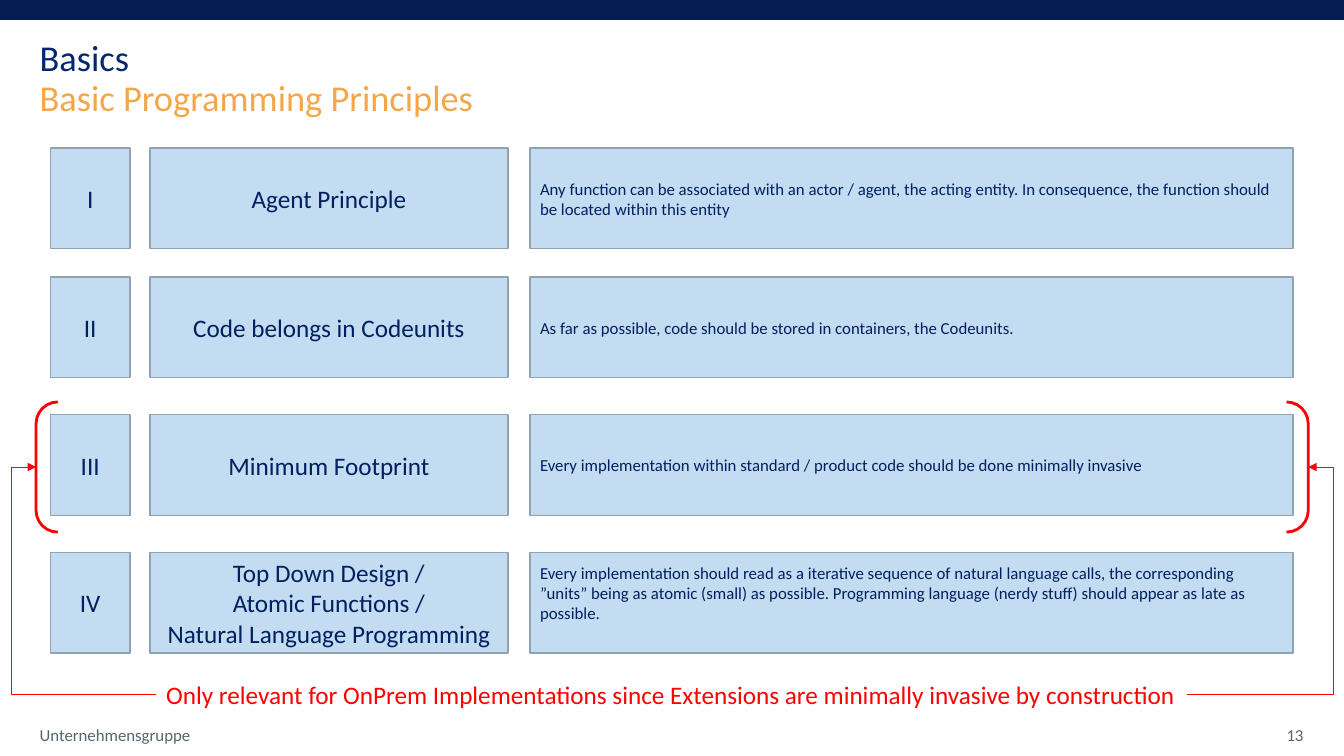
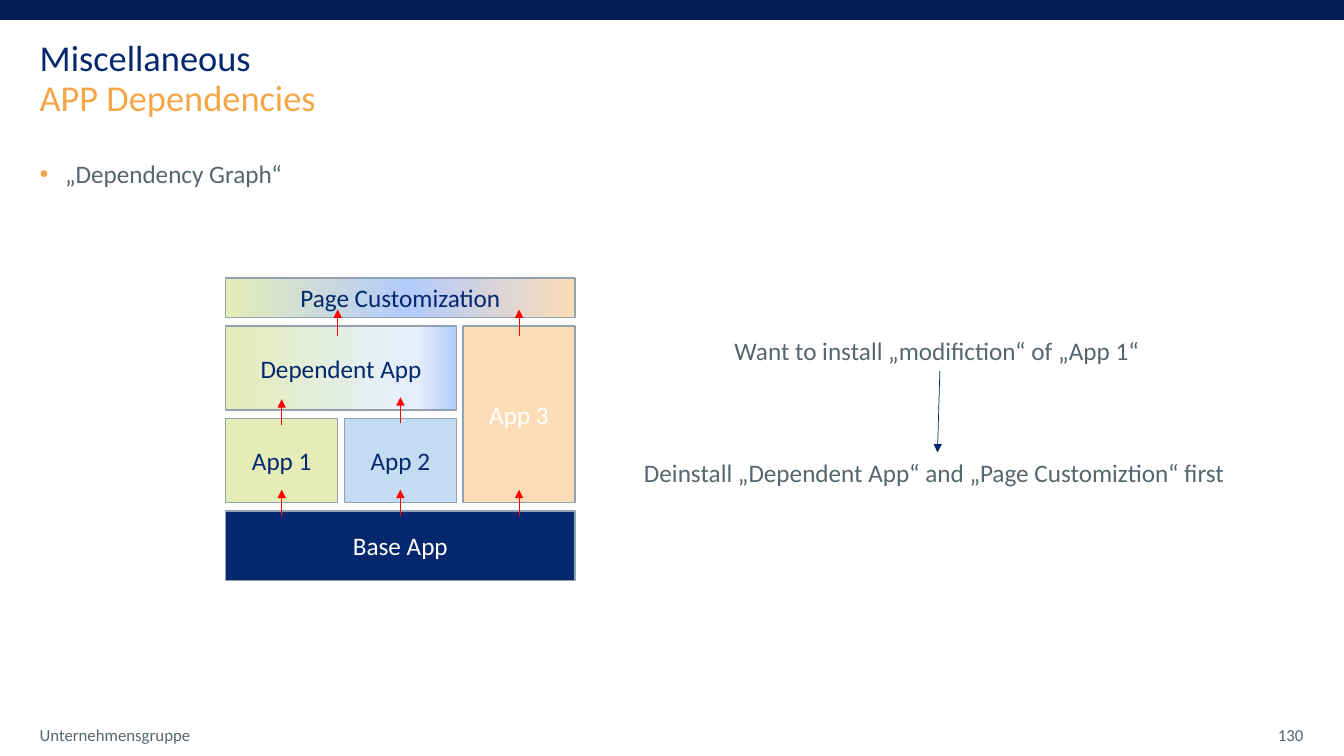
import dataclasses

import pptx
import pptx.dml.color
import pptx.enum.shapes
import pptx.enum.text
import pptx.oxml
import pptx.oxml.ns
import pptx.util

Cm, Pt = pptx.util.Cm, pptx.util.Pt
RGB = pptx.dml.color.RGBColor.from_string
qn = pptx.oxml.ns.qn
SHAPE = pptx.enum.shapes.MSO_SHAPE
CONNECTOR = pptx.enum.shapes.MSO_CONNECTOR
ANCHOR = pptx.enum.text.MSO_ANCHOR
LEFT = pptx.enum.text.PP_ALIGN.LEFT
CENTER = pptx.enum.text.PP_ALIGN.CENTER
RIGHT = pptx.enum.text.PP_ALIGN.RIGHT


@dataclasses.dataclass(frozen=True)
class Theme:
    font: str = "Calibri"
    title_size: int = 26
    body_size: int = 18
    small_size: int = 12
    band: str = "031D52"
    navy: str = "04276E"
    ink: str = "002060"
    orange: str = "F5A748"
    grey: str = "57666D"
    red: str = "FF0000"
    white: str = "FFFFFF"
    border: str = "91A3B2"
    blue: str = "C4DCF1"
    green: str = "E5ECB8"
    peach: str = "FBDCB6"
    pale: str = "E4EFF9"
    violet: str = "B3CBFC"


theme = Theme()
FLUSH = dict.fromkeys(("margin_left", "margin_top", "margin_right", "margin_bottom"), 0)
ONE_LINE = {"word_wrap": False, "vertical_anchor": ANCHOR.TOP,
            "auto_size": pptx.enum.text.MSO_AUTO_SIZE.SHAPE_TO_FIT_TEXT}


def add_block(slide, place, text, size=theme.body_size, color=theme.navy,
              align=CENTER, fill=None, frame_format=None):
    """Add text in a bordered rectangle, or in a text box when fill is None.

    A fill is a colour or a list of (percent, colour) gradient stops.
    """
    place = [Cm(length) for length in place]
    if fill is None:
        block = slide.shapes.add_textbox(*place)
    else:
        block = slide.shapes.add_shape(SHAPE.RECTANGLE, *place)
        block.shadow.inherit = False
        block.line.color.rgb = RGB(theme.border)
        block.line.width = Pt(1)
        if isinstance(fill, str):
            block.fill.solid()
            block.fill.fore_color.rgb = RGB(fill)
        else:
            block.fill.gradient()
            block.fill.gradient_angle = 0
            stops = block._element.spPr.find(qn("a:gradFill")).find(qn("a:gsLst"))
            for stop in list(stops):
                stops.remove(stop)
            for percent, stop_color in fill:
                stops.append(pptx.oxml.parse_xml(
                    f'<a:gs {pptx.oxml.ns.nsdecls("a")} pos="{percent * 1000}">'
                    f'<a:srgbClr val="{stop_color}"/></a:gs>'))
    frame = block.text_frame
    frame.text = text
    frame_values = {"word_wrap": True, "vertical_anchor": ANCHOR.MIDDLE}
    for key, value in (frame_values | (frame_format or {})).items():
        setattr(frame, key, value)
    for paragraph in frame.paragraphs:
        paragraph.alignment = align
        for run in paragraph.runs:
            for key, value in {"name": theme.font, "size": Pt(size)}.items():
                setattr(run.font, key, value)
            run.font.color.rgb = RGB(color)
    return block


def add_arrow(slide, start, end, color=theme.red, kind=CONNECTOR.STRAIGHT):
    arrow = slide.shapes.add_connector(kind, *[Cm(length) for length in (*start, *end)])
    arrow.line.color.rgb = RGB(color)
    arrow.line.width = Pt(0.5)
    arrow.line._get_or_add_ln().append(pptx.oxml.parse_xml(
        f'<a:tailEnd {pptx.oxml.ns.nsdecls("a")} type="triangle"/>'))
    arrow._element.spPr.append(pptx.oxml.parse_xml(
        f'<a:effectLst {pptx.oxml.ns.nsdecls("a")}/>'))
    return arrow


deck = pptx.Presentation()
deck.slide_width, deck.slide_height = Cm(33.87), Cm(19.05)

# Band, title and footer of every slide
slides = []
for heading, subheading, number in (
    ("Basics", "Basic Programming Principles", "13"),
    ("Miscellaneous", "APP Dependencies", "130"),
):
    slide = deck.slides.add_slide(deck.slide_layouts[6])
    slides.append(slide)
    band = slide.shapes.add_shape(SHAPE.RECTANGLE, 0, 0, deck.slide_width, Cm(0.5))
    band.shadow.inherit = False
    band.fill.solid()
    band.fill.fore_color.rgb = RGB(theme.band)
    band.line.fill.background()
    title = add_block(slide, (1, 1.02, 31.85, 2), f"{heading}\n{subheading}",
                      theme.title_size, align=LEFT,
                      frame_format=FLUSH | {"vertical_anchor": ANCHOR.TOP})
    for paragraph in title.text_frame.paragraphs:
        paragraph.line_spacing = 0.9
    paragraph.runs[0].font.color.rgb = RGB(theme.orange)
    for left, width, text, align in ((1, 7.62, "Unternehmensgruppe", LEFT),
                                     (25.85, 7, number, RIGHT)):
        add_block(slide, (left, 18, width, 1.02), text, theme.small_size,
                  theme.grey, align, frame_format=FLUSH)
principles, dependencies = slides

# Principles: number, name and explanation in each row
ROW_HEIGHT = 2.54
for top, numeral, name, explanation in (
    (3.73, "I", "Agent Principle",
     "Any function can be associated with an actor / agent, the acting entity. "
     "In consequence, the function should be located within this entity"),
    (6.98, "II", "Code belongs in Codeunits",
     "As far as possible, code should be stored in containers, the Codeunits."),
    (10.45, "III", "Minimum Footprint",
     "Every implementation within standard / product code should be done minimally invasive"),
    (13.92, "IV", "Top Down Design /\nAtomic Functions /\nNatural Language Programming",
     "Every implementation should read as a iterative sequence of natural language calls, "
     "the corresponding ”units” being as atomic (small) as possible. Programming language "
     "(nerdy stuff) should appear as late as possible."),
):
    for left, width, text, size, align in (
        (1.27, 2.01, numeral, theme.body_size, CENTER),
        (3.78, 9.02, name, theme.body_size, CENTER),
        (13.36, 19.23, explanation, theme.small_size, LEFT),
    ):
        cell = add_block(principles, (left, top, width, ROW_HEIGHT), text, size,
                         theme.ink, align, theme.blue)
cell.text_frame.margin_bottom = Cm(0.64)

# Bracket around the third principle, with its remark
bracket_left, bracket_right, bracket_middle = 0.91, 32.97, 11.77
bracket = principles.shapes.add_shape(
    SHAPE.DOUBLE_BRACKET, Cm(bracket_left), Cm(10.13),
    Cm(bracket_right - bracket_left), Cm(3.28))
bracket.shadow.inherit = False
bracket.fill.background()
bracket.line.color.rgb = RGB(theme.red)
bracket.line.width = Pt(2)
remark_left, remark_width, remark_middle = 3.94, 25.98, 17.5
add_block(principles, (remark_left, remark_middle - 0.51, remark_width, 1.02),
          "Only relevant for OnPrem Implementations since Extensions are "
          "minimally invasive by construction",
          color=theme.red, align=LEFT, frame_format=ONE_LINE)
for start, end in ((remark_left + remark_width, bracket_right),
                   (remark_left, bracket_left)):
    pointer = add_arrow(principles, (start, remark_middle), (end, bracket_middle),
                        kind=CONNECTOR.ELBOW)
    geometry = pointer._element.spPr.find(qn("a:prstGeom"))
    geometry.get_or_add_avLst().append(pptx.oxml.parse_xml(
        f'<a:gd {pptx.oxml.ns.nsdecls("a")} name="adj1" fmla="val 120900"/>'))

# Dependency graph: three columns, four levels
topic = add_block(dependencies, (1, 3.99, 15.29, 0.99), "„Dependency Graph“",
                  color=theme.grey, align=LEFT,
                  frame_format=FLUSH | {"vertical_anchor": ANCHOR.TOP})
bullet_format = topic.text_frame.paragraphs[0]._p.get_or_add_pPr()
bullet_format.set("marL", str(Cm(0.64)))
bullet_format.set("indent", str(-Cm(0.64)))
for bullet_part in (f'<a:buClr {{}}><a:srgbClr val="{theme.orange}"/></a:buClr>',
                    '<a:buFont {} typeface="Arial"/>', '<a:buChar {} char="•"/>'):
    bullet_format.append(pptx.oxml.parse_xml(
        bullet_part.format(pptx.oxml.ns.nsdecls("a"))))

APP_WIDTH, COLUMN_GAP, LEVEL_GAP = 2.82, 0.17, 0.22
columns = [5.69 + index * (APP_WIDTH + COLUMN_GAP) for index in range(3)]
level_heights = (0.99, 2.11, 2.11, 1.75)
levels = [7.01 + sum(level_heights[:index]) + index * LEVEL_GAP for index in range(4)]
dependent_fill = [(0, theme.green), (74, theme.pale), (83, theme.pale), (100, theme.violet)]
page_fill = [(0, theme.green), (52, theme.violet), (100, theme.peach)]
for text, column, column_span, level, level_span, fill, color in (
    ("Base App", 0, 3, 3, 1, theme.navy, theme.white),
    ("App 1", 0, 1, 2, 1, theme.green, theme.navy),
    ("App 2", 1, 1, 2, 1, theme.blue, theme.navy),
    ("App 3", 2, 1, 1, 2, theme.peach, theme.white),
    ("Dependent App", 0, 2, 1, 1, dependent_fill, theme.navy),
    ("Page Customization", 0, 3, 0, 1, page_fill, theme.navy),
):
    width = column_span * (APP_WIDTH + COLUMN_GAP) - COLUMN_GAP
    height = sum(level_heights[level:level + level_span]) + (level_span - 1) * LEVEL_GAP
    add_block(dependencies, (columns[column], levels[level], width, height), text,
              color=color, fill=fill)

centers = [left + APP_WIDTH / 2 for left in columns]
for x, y in (
    (centers[0], 10.72), (centers[1], 10.67),
    *((center, 13) for center in centers),
    (columns[0] + APP_WIDTH, 8.46), (centers[2], 8.46),
):
    add_arrow(dependencies, (x, y), (x, y - 0.66))

# Consequence of changing App 1
wish = add_block(dependencies, (18.26, 8.33, 10.85, 1.02),
                 "Want to install „modifiction“ of „App 1“",
                 color=theme.grey, align=LEFT, frame_format=ONE_LINE)
consequence = add_block(dependencies, (15.98, 11.4, 15.29, 1.02),
                        "Deinstall „Dependent App“ and „Page Customiztion“ first",
                        color=theme.grey, align=LEFT,
                        frame_format=ONE_LINE | {"word_wrap": True})
step = add_arrow(dependencies, (23.69, 9.35), (23.63, 11.4), theme.navy)
step.begin_connect(wish, 2)
step.end_connect(consequence, 0)

deck.save("out.pptx")
